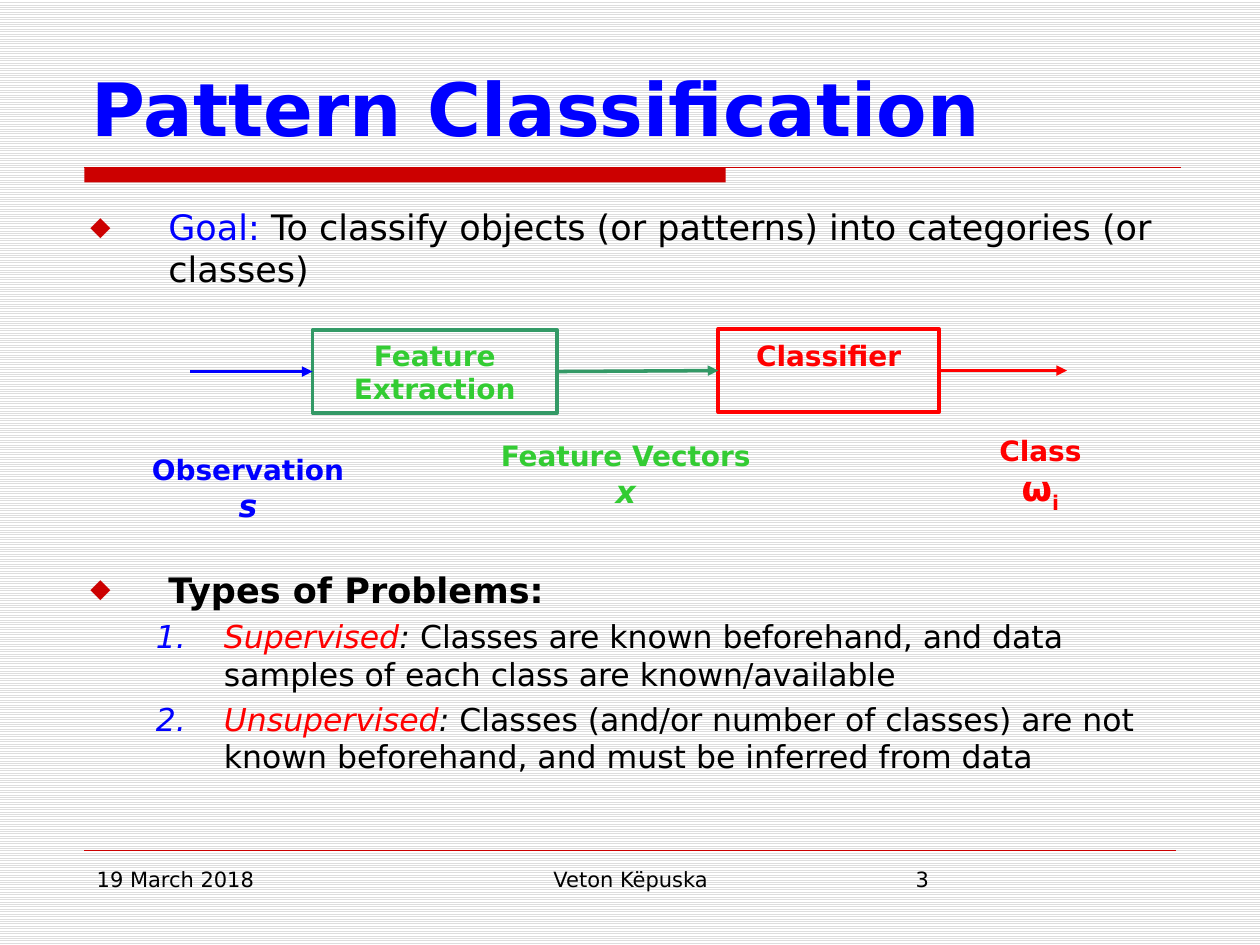
from lxml.etree import SubElement
from pptx import Presentation
from pptx.dml.color import RGBColor
from pptx.enum.dml import MSO_PATTERN
from pptx.enum.shapes import MSO_CONNECTOR, MSO_SHAPE
from pptx.enum.text import MSO_ANCHOR as Anchor, MSO_AUTO_SIZE, PP_ALIGN as Align
from pptx.oxml.ns import qn
from pptx.util import Cm, Pt

FONT = "DejaVu Sans"
BLUE, RED, GREEN, TEAL = "0000FF", "FF0000", "33CC33", "339966"
BLACK, CRIMSON = "000000", "CC0000"

# Boxes are left, top, width, height in cm; spans are (text, format).
TITLE = ("Pattern Classification", (1.6, 0.84, 22.23, 2.33))
BODY_BOX = (1.57, 4.02, 22.23, 12.7)
DIAMOND = dict(tag="a:buChar", attrs={"char": "◆"}, color=CRIMSON, size="75000",
               margin=1.57, indent=-1.57)
NUMBER = dict(tag="a:buAutoNum", attrs={"type": "arabicPeriod"}, color=BLUE,
              size="100000", margin=2.69, indent=-1.37)
# level, bullet, space before in points, text size, spans
BODY = [
    (0, DIAMOND, 0, 20, [
        ("Goal:", dict(color=BLUE)),
        (" To classify objects (or patterns) into categories (or classes)", {})]),
    (0, DIAMOND, 159, 20, [("Types of Problems:", dict(bold=True))]),
    (1, NUMBER, 4, 18, [
        ("Supervised", dict(color=RED, italic=True)), (": ", dict(italic=True)),
        ("Classes are known beforehand, and data samples of each class are "
         "known/available", {})]),
    (1, NUMBER, 4, 18, [
        ("Unsupervised", dict(color=RED, italic=True)), (": ", dict(italic=True)),
        ("Classes (and/or number of classes) are not known beforehand, and must "
         "be inferred from data", {})]),
]
# text, box, line colour, text colour, anchor
STAGES = [
    ("Feature Extraction", (6.3, 6.65, 4.93, 1.68), TEAL, GREEN, Anchor.MIDDLE),
    ("Classifier", (14.48, 6.63, 4.45, 1.68), RED, RED, Anchor.TOP),
]
# caption, symbol, symbol size, italic, subscript, colour, box
LABELS = [
    ("Class", "ω", 20, False, "i", RED, (18.92, 8.61, 4.11, 1.78)),
    ("Feature Vectors", "x", 18, True, "", GREEN, (9.58, 8.71, 6.07, 1.7)),
    ("Observation", "s", 18, True, "", BLUE, (2.69, 8.99, 4.62, 1.7)),
]
FOOTER = [
    ("19 March 2018", Align.LEFT, (1.7, 17.35, 5.51, 1.32)),
    ("Veton Këpuska", Align.CENTER, (8.69, 17.35, 8.05, 1.32)),
    ("3", Align.LEFT, (18.21, 17.35, 5.51, 1.32)),
]


def rgb(value):
    return RGBColor.from_string(value)


def place(shape, box):
    for name, value in zip(("left", "top", "width", "height"), box):
        setattr(shape, name, Cm(value))


def add_span(para, text, size, color=BLACK, **styles):
    span = para.add_run()
    span.text = text
    span.font.color.rgb = rgb(color)
    for name, value in {"name": FONT, "size": Pt(size), "bold": False, **styles}.items():
        setattr(span.font, name, value)
    return span


def set_bullet(para, bullet):
    props = para._p.get_or_add_pPr()
    props.set("marL", str(Cm(bullet["margin"])))
    props.set("indent", str(Cm(bullet["indent"])))
    color = SubElement(props, qn("a:buClr"))
    SubElement(color, qn("a:srgbClr"), val=bullet["color"])
    SubElement(props, qn("a:buSzPct"), val=bullet["size"])
    SubElement(props, qn("a:buFont"), typeface=FONT)
    SubElement(props, qn(bullet["tag"]), bullet["attrs"])


def add_line(shapes, start, end, color, width, arrow=False):
    line = shapes.add_connector(MSO_CONNECTOR.STRAIGHT, *map(Cm, start + end))
    line.line.color.rgb = rgb(color)
    line.line.width = Pt(width)
    if arrow:
        SubElement(line.line._get_or_add_ln(), qn("a:tailEnd"), type="triangle")
    SubElement(line._element.spPr, qn("a:effectLst"))
    return line


def add_text_box(shapes, box, align):
    """Add a wrapping text box and return its first paragraph."""
    frame = shapes.add_textbox(*map(Cm, box)).text_frame
    frame.word_wrap = True
    para = frame.paragraphs[0]
    para.alignment = align
    return para


def add_rect(shapes, box):
    rect = shapes.add_shape(MSO_SHAPE.RECTANGLE, *map(Cm, box))
    rect.shadow.inherit = False
    return rect


def add_frame(page):
    """Draw the background, the rules and the footer."""
    fill = page.background.fill
    fill.patterned()
    fill.pattern = MSO_PATTERN.LIGHT_HORIZONTAL
    fill.fore_color.rgb = rgb("DDDDDD")
    fill.back_color.rgb = rgb("FFFFFF")
    bar = add_rect(page.shapes, (1.7, 3.38, 12.93, 0.3))
    bar.fill.solid()
    bar.fill.fore_color.rgb = rgb(CRIMSON)
    bar.line.fill.background()
    add_line(page.shapes, (1.7, 3.38), (23.8, 3.38), CRIMSON, 0.75)
    add_line(page.shapes, (1.7, 17.14), (23.7, 17.14), CRIMSON, 0.25)
    for text, align, box in FOOTER:
        add_span(add_text_box(page.shapes, box, align), text, 12)


def fill_placeholders(page):
    title, body = page.shapes.title, page.placeholders[1]
    for shape, box, anchor in ((title, TITLE[1], Anchor.BOTTOM),
                               (body, BODY_BOX, Anchor.TOP)):
        place(shape, box)
        shape.text_frame.auto_size = MSO_AUTO_SIZE.NONE
        shape.text_frame.vertical_anchor = anchor
    heading = title.text_frame.paragraphs[0]
    heading.alignment = Align.LEFT
    add_span(heading, TITLE[0], 42, BLUE, bold=True)
    for index, (level, bullet, before, size, spans) in enumerate(BODY):
        frame = body.text_frame
        para = frame.add_paragraph() if index else frame.paragraphs[0]
        para.level = level
        para.space_before = Pt(before)
        set_bullet(para, bullet)
        for text, styles in spans:
            add_span(para, text, size, **styles)


def add_diagram(shapes):
    stages = []
    for text, box, line_color, color, anchor in STAGES:
        stage = add_rect(shapes, box)
        stage.fill.background()
        stage.line.color.rgb = rgb(line_color)
        stage.line.width = Pt(2)
        stage.text_frame.word_wrap = True
        stage.text_frame.vertical_anchor = anchor
        stage.text_frame.margin_top = Cm(0.2 if anchor == Anchor.TOP else 0.13)
        para = stage.text_frame.paragraphs[0]
        para.alignment = Align.CENTER
        add_span(para, text, 16, color, bold=True)
        stages.append(stage)
    extraction, classifier = stages
    for begin, end, source, target, color in (
            ((3.84, 7.49), (6.3, 7.49), None, extraction, BLUE),
            ((11.23, 7.49), (14.48, 7.47), extraction, classifier, TEAL),
            ((18.93, 7.47), (21.51, 7.47), classifier, None, RED)):
        arrow = add_line(shapes, begin, end, color, 2, arrow=True)
        if source:
            arrow.begin_connect(source, 3)
        if target:
            arrow.end_connect(target, 1)
    for caption, symbol, size, italic, subscript, color, box in LABELS:
        para = add_text_box(shapes, box, Align.CENTER)
        add_span(para, caption, 16, color, bold=True)
        para.add_line_break()
        add_span(para, symbol, size, color, bold=True, italic=italic)
        if subscript:
            span = add_span(para, subscript, size, color, bold=True)
            span._r.get_or_add_rPr().set("baseline", "-25000")


def main():
    deck = Presentation()
    deck.slide_width, deck.slide_height = Cm(25.4), Cm(19.05)
    page = deck.slides.add_slide(deck.slide_layouts[1])
    add_frame(page)
    fill_placeholders(page)
    add_diagram(page.shapes)
    deck.save("out.pptx")


if __name__ == "__main__":
    main()
